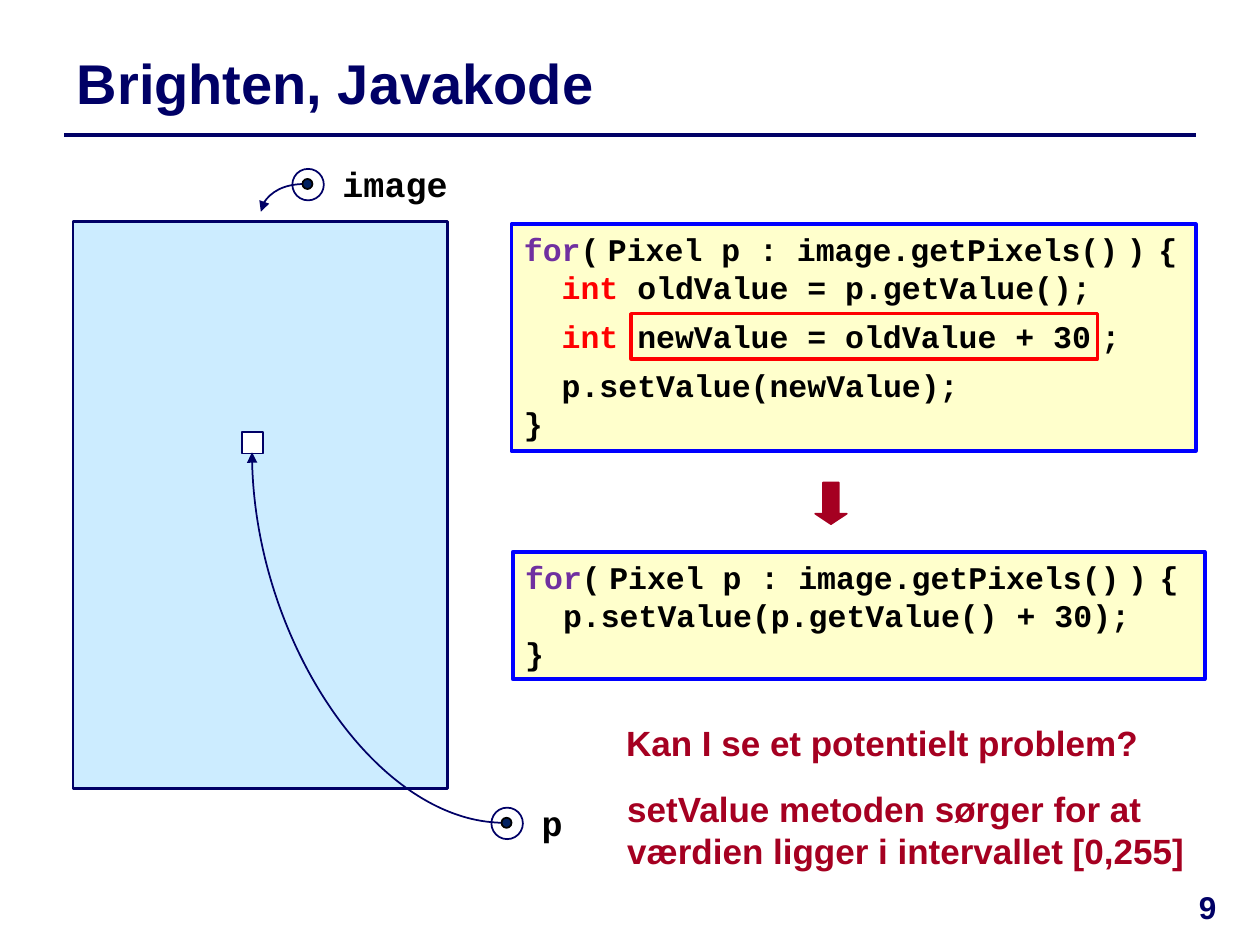
from dataclasses import dataclass
from typing import NamedTuple, Optional

from lxml import etree
from pptx import Presentation
from pptx.dml.color import RGBColor
from pptx.enum.shapes import MSO_CONNECTOR, MSO_SHAPE
from pptx.enum.text import MSO_ANCHOR, MSO_AUTO_SIZE, PP_ALIGN
from pptx.oxml.ns import qn
from pptx.util import Pt

RECT, OVAL, DOWN = MSO_SHAPE.RECTANGLE, MSO_SHAPE.OVAL, MSO_SHAPE.DOWN_ARROW
STRAIGHT, CURVE = MSO_CONNECTOR.STRAIGHT, MSO_CONNECTOR.CURVE
LEFT, CENTER = PP_ALIGN.LEFT, PP_ALIGN.CENTER
TOP, MIDDLE = MSO_ANCHOR.TOP, MSO_ANCHOR.MIDDLE
FIXED, GROW = MSO_AUTO_SIZE.NONE, MSO_AUTO_SIZE.SHAPE_TO_FIT_TEXT

NAVY = RGBColor(0x00, 0x00, 0x66)
DOT = RGBColor(0x00, 0x20, 0x60)
BLUE = RGBColor(0x00, 0x00, 0xFF)
SKY = RGBColor(0xCC, 0xEC, 0xFF)
CREAM = RGBColor(0xFF, 0xFF, 0xCC)
PURPLE = RGBColor(0x70, 0x30, 0xA0)
RED = RGBColor(0xFF, 0x00, 0x00)
CRIMSON = RGBColor(0xA5, 0x00, 0x21)
BLACK = RGBColor(0x00, 0x00, 0x00)
WHITE = RGBColor(0xFF, 0xFF, 0xFF)

SANS, MONO = "Arial", "Courier New"
EMU_PER_PX = 9144  # 100 px to the inch


class Box(NamedTuple):
    x: int
    y: int
    w: int
    h: int


class Run(NamedTuple):
    text: str
    color: RGBColor = BLACK
    size: int = 18


class Line(NamedTuple):
    runs: list[Run]
    spacing: float = 1.0


@dataclass
class CodeBox:
    box: Box
    lines: list[Line]


@dataclass
class Pointer:
    """A reference variable: ringed dot, name and arrow to its object."""
    name: str
    x: int
    y: int
    label_w: int
    tip: tuple[int, int]


def px(n: int) -> int:
    return n * EMU_PER_PX


def write(shape, text="", *, lines=None, size=20, color=BLACK, font=SANS,
          align=LEFT, anchor=TOP, wrap=True, fit=FIXED) -> None:
    tf = shape.text_frame
    tf.word_wrap, tf.auto_size, tf.vertical_anchor = wrap, fit, anchor
    for i, line in enumerate(lines or [Line([Run(text, color, size)])]):
        p = tf.paragraphs[0] if i == 0 else tf.add_paragraph()
        p.alignment, p.line_spacing = align, line.spacing
        for run in line.runs:
            r = p.add_run()
            r.text = run.text
            r.font.name, r.font.size, r.font.bold = font, Pt(run.size), True
            r.font.color.rgb = run.color


def add_text(s, box: Box, text: str, **fmt) -> None:
    write(s.shapes.add_textbox(*map(px, box)), text, **fmt)


def add_shape(s, kind, box: Box, fill: Optional[RGBColor], line: RGBColor, width: float):
    sp = s.shapes.add_shape(kind, *map(px, box))
    sp.shadow.inherit = False
    if fill is None:
        sp.fill.background()
    else:
        sp.fill.solid()
        sp.fill.fore_color.rgb = fill
    sp.line.color.rgb, sp.line.width = line, Pt(width)
    return sp


def add_line(s, kind, start: tuple[int, int], end: tuple[int, int], width: float):
    cxn = s.shapes.add_connector(kind, *map(px, start + end))
    cxn.line.color.rgb, cxn.line.width = NAVY, Pt(width)
    etree.SubElement(cxn.element.spPr, qn("a:effectLst"))
    return cxn


def add_curved_arrow(s, start: tuple[int, int], end: tuple[int, int]) -> None:
    """Leave start leftwards and arrive at end vertically."""
    cxn = add_line(s, CURVE, start, end, 1)
    spPr = cxn.element.spPr
    spPr.find(qn("a:prstGeom")).set("prst", "curvedConnector2")
    # A half turn takes the place of the horizontal flip
    xfrm = spPr.find(qn("a:xfrm"))
    xfrm.attrib.clear()
    xfrm.set("rot", "10800000")
    if end[1] > start[1]:
        xfrm.set("flipV", "1")
    etree.SubElement(spPr.find(qn("a:ln")), qn("a:tailEnd"), type="triangle")


def add_code(s, code: CodeBox) -> None:
    sp = add_shape(s, RECT, code.box, CREAM, BLUE, 2.25)
    write(sp, lines=code.lines, font=MONO)


def add_pointer(s, ptr: Pointer) -> None:
    x, y = ptr.x, ptr.y
    add_text(s, Box(x + 30, y - 10, ptr.label_w, 43), ptr.name,
             font=MONO, wrap=False, fit=GROW)
    add_curved_arrow(s, (x + 10, y + 12), ptr.tip)
    add_shape(s, OVAL, Box(x, y, 25, 25), None, NAVY, 1)
    add_shape(s, OVAL, Box(x + 8, y + 8, 8, 8), DOT, BLACK, 1)


LOOP_HEAD = Line([
    Run("for", PURPLE), Run("("), Run(" ", size=8),
    Run("Pixel p : image.getPixels()"), Run(" ", size=8), Run(")"),
    Run(" ", size=12), Run("{"),
])
LOOP_END = Line([Run("}")])
DECLARE = [Run("  "), Run("int ", RED)]

LONG_LOOP = CodeBox(Box(406, 178, 543, 180), [
    LOOP_HEAD,
    Line(DECLARE + [Run("oldValue = p.getValue();")]),
    Line(DECLARE + [Run("newValue = oldValue + 30"), Run(" ", size=10), Run(";")], 1.3),
    Line([Run("  p.setValue(newValue);")], 1.3),
    LOOP_END,
])
SHORT_LOOP = CodeBox(Box(407, 438, 549, 101), [
    LOOP_HEAD,
    Line([Run("  p.setValue(p.getValue() + 30);")]),
    LOOP_END,
])
POINTERS = [
    Pointer("p", 390, 641, 37, (200, 359)),
    Pointer("image", 232, 134, 104, (207, 168)),
]


def main() -> None:
    prs = Presentation()
    prs.slide_width, prs.slide_height = px(1000), px(750)
    s = prs.slides.add_slide(prs.slide_layouts[5])

    # Title and rule
    title = s.shapes.title
    title.left, title.top, title.width, title.height = map(px, Box(51, 28, 898, 75))
    write(title, "Brighten, Javakode", size=32, color=NAVY, anchor=MIDDLE)
    add_line(s, STRAIGHT, (51, 107), (949, 107), 2)

    # Code before and after shortening
    add_code(s, LONG_LOOP)
    add_shape(s, RECT, Box(501, 249, 370, 36), None, RED, 2)
    add_code(s, SHORT_LOOP)
    arrow = add_shape(s, DOWN, Box(647, 383, 25, 33), CRIMSON, CRIMSON, 1)
    arrow.adjustments[1] = 0.33

    # Image with one pixel, and the variables that refer to them
    add_shape(s, RECT, Box(58, 176, 297, 450), SKY, NAVY, 1.5)
    add_shape(s, RECT, Box(192, 343, 17, 17), WHITE, NAVY, 1)
    for ptr in POINTERS:
        add_pointer(s, ptr)

    # Question, answer and page number
    add_text(s, Box(487, 568, 432, 43), "Kan I se et potentielt problem?", color=CRIMSON)
    add_text(s, Box(488, 620, 493, 86),
             "setValue metoden sørger for at værdien ligger i intervallet [0,255]",
             color=CRIMSON)
    add_text(s, Box(917, 700, 83, 50), "9", size=18, color=NAVY, align=CENTER)

    prs.save("out.pptx")


if __name__ == "__main__":
    main()
